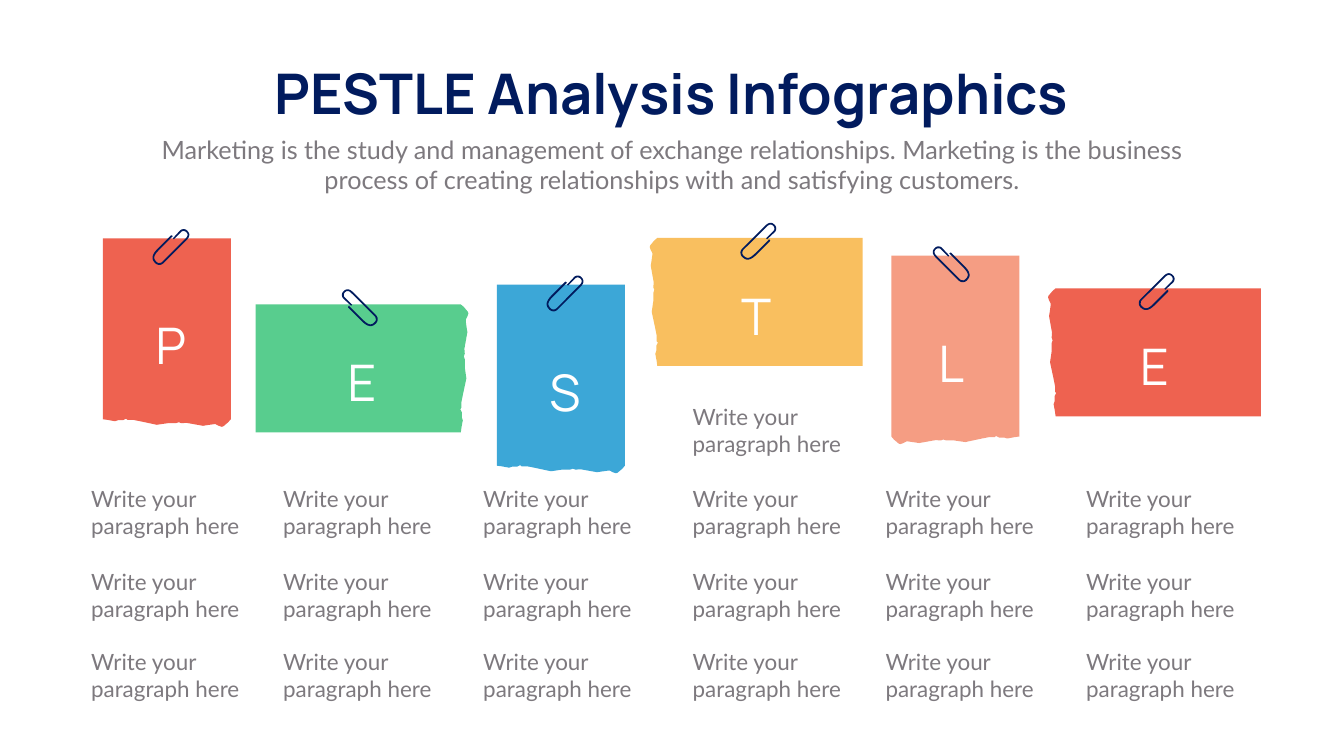
"""Build the PESTLE analysis slide with torn, clipped paper sheets."""
from pptx import Presentation
from pptx.dml.color import RGBColor
from pptx.enum.text import MSO_AUTO_SIZE, PP_ALIGN
from pptx.util import Cm, Pt

NAVY, GREY, WHITE = "011B5E", "7D797E", "FFFFFF"
TITLE = "PESTLE Analysis Infographics"
SUBTITLE = ("Marketing is the study and management of exchange relationships. "
            "Marketing is the business process of creating relationships with "
            "and satisfying customers.")
PARAGRAPH = "Write your paragraph here"

FORMATS = {
    "title": {"name": "Manrope", "size": Pt(80), "bold": True},
    "subtitle": {"name": "Lato", "size": Pt(36)},
    "letter": {"name": "Manrope", "size": Pt(72)},
    "paragraph": {"name": "Lato", "size": Pt(32)},
}
COLORS = {"title": NAVY, "subtitle": GREY, "letter": WHITE, "paragraph": GREY}

SHEETS = [
    {"letter": "P", "color": "EE6250", "at": (5.18, 12.01), "kind": "upright", "mirrored": False},
    {"letter": "E", "color": "58CD8E", "at": (12.88, 15.34), "kind": "wide", "mirrored": True},
    {"letter": "S", "color": "3CA7D7", "at": (25.04, 14.35), "kind": "upright", "mirrored": False},
    {"letter": "T", "color": "F9BF5F", "at": (32.74, 11.99), "kind": "wide", "mirrored": False},
    {"letter": "L", "color": "F59D83", "at": (44.91, 12.88), "kind": "upright", "mirrored": True},
    {"letter": "E", "color": "EE6250", "at": (52.81, 14.53), "kind": "wide", "mirrored": False},
]
KINDS = {
    "upright": {"width": 6.45, "body": 9.12, "clip": (2.51, -0.46), "letter": (-0.2, 3.71)},
    "wide": {"width": 10.72, "body": 10.34, "clip": (4.57, -0.76), "letter": (1.73, 2.24)},
}
COLUMNS = [4.34, 14.02, 24.1, 34.65, 44.37, 54.48]
ROWS = [24.31, 28.5, 32.54]
EXTRA_PARAGRAPH = (34.65, 20.19)
PARAGRAPH_SIZE = (8.18, 3)
LETTER_SIZE = (7.26, 3.33)

SHEET_SPAN = 6.45
TEAR = [
    (0, 0), (0.03, 0.03), (0.13, 0.15), (0.38, 0.36), (0.46, 0.38), (0.61, 0.33),
    (0.76, 0.25), (0.86, 0.25), (1.22, 0.3), (1.4, 0.33), (2.24, 0.18), (2.49, 0.2),
    (2.62, 0.15), (2.77, 0.2), (3.18, 0.2), (3.73, 0.28), (4.57, 0.1), (4.93, 0.03),
    (5.21, 0.03), (5.28, -0.03), (5.44, 0.05), (5.69, 0.05), (5.84, 0.1), (6.22, 0.03),
    (6.45, 0),
]
CLIP_WIDTH, CLIP_HEIGHT = 1.85, 1.8
CLIP_START = (0.56, 1.7)
CLIP_SEGMENTS = [
    [(1.7, 0.56)],
    [(1.88, 0.38), (1.9, 0.23), (1.75, 0.08)],
    [(1.63, -0.05), (1.47, 0), (1.4, 0.05)],
    [(1.02, 0.46)],
    [(1.07, 0.51)],
    [(1.45, 0.13)],
    [(1.47, 0.1), (1.6, 0.05), (1.7, 0.15)],
    [(1.8, 0.25), (1.78, 0.36), (1.65, 0.48)],
    [(0.51, 1.63)],
    [(0.46, 1.68), (0.41, 1.7), (0.36, 1.7)],
    [(0.3, 1.73), (0.23, 1.68), (0.18, 1.63)],
    [(0, 1.45), (0.08, 1.3), (0.3, 1.07)],
    [(0.99, 0.38)],
    [(1.02, 0.38), (1.02, 0.36), (0.99, 0.33)],
    [(0.97, 0.3), (0.94, 0.3), (0.91, 0.33)],
    [(0.25, 0.99)],
    [(0.1, 1.14), (-0.15, 1.42), (0.1, 1.68)],
    [(0.18, 1.78), (0.28, 1.8), (0.36, 1.8)],
    [(0.43, 1.8), (0.51, 1.75), (0.56, 1.7)],
]
CURVE_STEPS = 8


def rgb(value):
    return RGBColor.from_string(value)


def curve_point(points, t):
    weights = ((1 - t) ** 3, 3 * t * (1 - t) ** 2, 3 * t ** 2 * (1 - t), t ** 3)
    return tuple(sum(w * point[axis] for w, point in zip(weights, points)) for axis in (0, 1))


def clip_outline(kind):
    outline = [CLIP_START]
    for segment in CLIP_SEGMENTS:
        if len(segment) == 1:
            outline += segment
        else:
            curve = [outline[-1], *segment]
            outline += [curve_point(curve, step / CURVE_STEPS)
                        for step in range(1, CURVE_STEPS + 1)]
    if kind == "wide":
        outline = [(CLIP_HEIGHT - y, CLIP_WIDTH - x) for x, y in outline]
    left, top = KINDS[kind]["clip"]
    return [(left + x, top + y) for x, y in outline]


def sheet_outline(kind):
    width, body = KINDS[kind]["width"], KINDS[kind]["body"]
    edge = [(0, 0), *((along, body + depth) for along, depth in TEAR), (SHEET_SPAN, 0)]
    if kind == "wide":
        return [(width - depth, along) for along, depth in edge]
    return [(width - along, depth) for along, depth in edge]


def add_outline(page, outline, sheet, color):
    left, top = sheet["at"]
    width = KINDS[sheet["kind"]]["width"]
    points = [(Cm(left + (width - x if sheet["mirrored"] else x)), Cm(top + y))
              for x, y in outline]
    builder = page.shapes.build_freeform(*points[0])
    builder.add_line_segments(points[1:], close=True)
    shape = builder.convert_to_shape()
    shape.shadow.inherit = False
    shape.fill.solid()
    shape.fill.fore_color.rgb = rgb(color)
    shape.line.fill.background()


def add_text(page, text, role, at, size, wrap=True):
    box = page.shapes.add_textbox(*(Cm(length) for length in (*at, *size)))
    frame = box.text_frame
    frame.word_wrap = wrap
    frame.auto_size = MSO_AUTO_SIZE.SHAPE_TO_FIT_TEXT
    para = frame.paragraphs[0]
    para.alignment = PP_ALIGN.LEFT if role == "paragraph" else PP_ALIGN.CENTER
    span = para.add_run()
    span.text = text
    for attribute, value in FORMATS[role].items():
        setattr(span.font, attribute, value)
    span.font.color.rgb = rgb(COLORS[role])


def add_sheet(page, sheet):
    kind = sheet["kind"]
    add_outline(page, sheet_outline(kind), sheet, sheet["color"])
    add_outline(page, clip_outline(kind), sheet, NAVY)
    left, top = sheet["at"]
    x, y = KINDS[kind]["letter"]
    if sheet["mirrored"]:
        x = KINDS[kind]["width"] - x - LETTER_SIZE[0]
    add_text(page, sheet["letter"], "letter", (left + x, top + y), LETTER_SIZE)


def main():
    deck = Presentation()
    deck.slide_width, deck.slide_height = Cm(67.72), Cm(38.1)
    page = deck.slides.add_slide(deck.slide_layouts[6])
    add_text(page, TITLE, "title", (12.6, 2.84), (42.52, 3.68), wrap=False)
    add_text(page, SUBTITLE, "subtitle", (7.42, 6.63), (52.88, 3.33))
    for sheet in SHEETS:
        add_sheet(page, sheet)
    for at in [*((left, top) for left in COLUMNS for top in ROWS), EXTRA_PARAGRAPH]:
        add_text(page, PARAGRAPH, "paragraph", at, PARAGRAPH_SIZE)
    deck.save("out.pptx")


if __name__ == "__main__":
    main()
